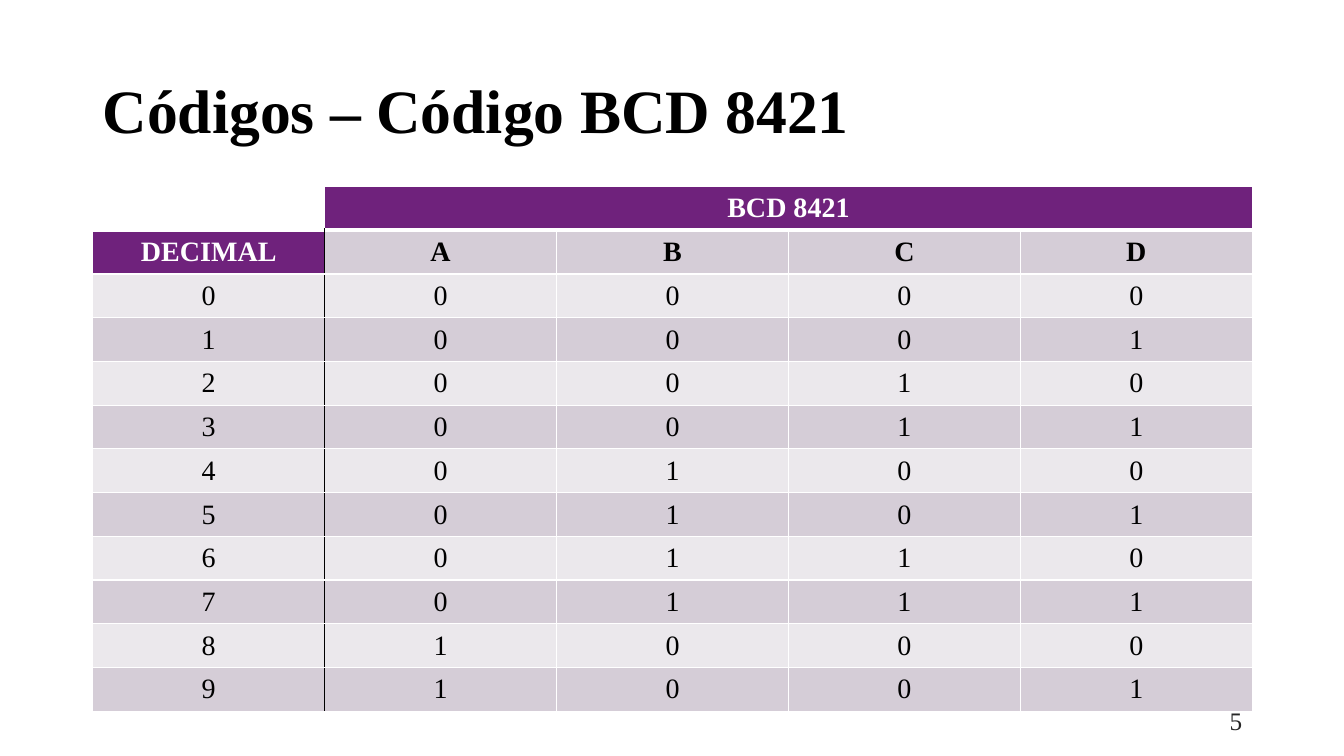
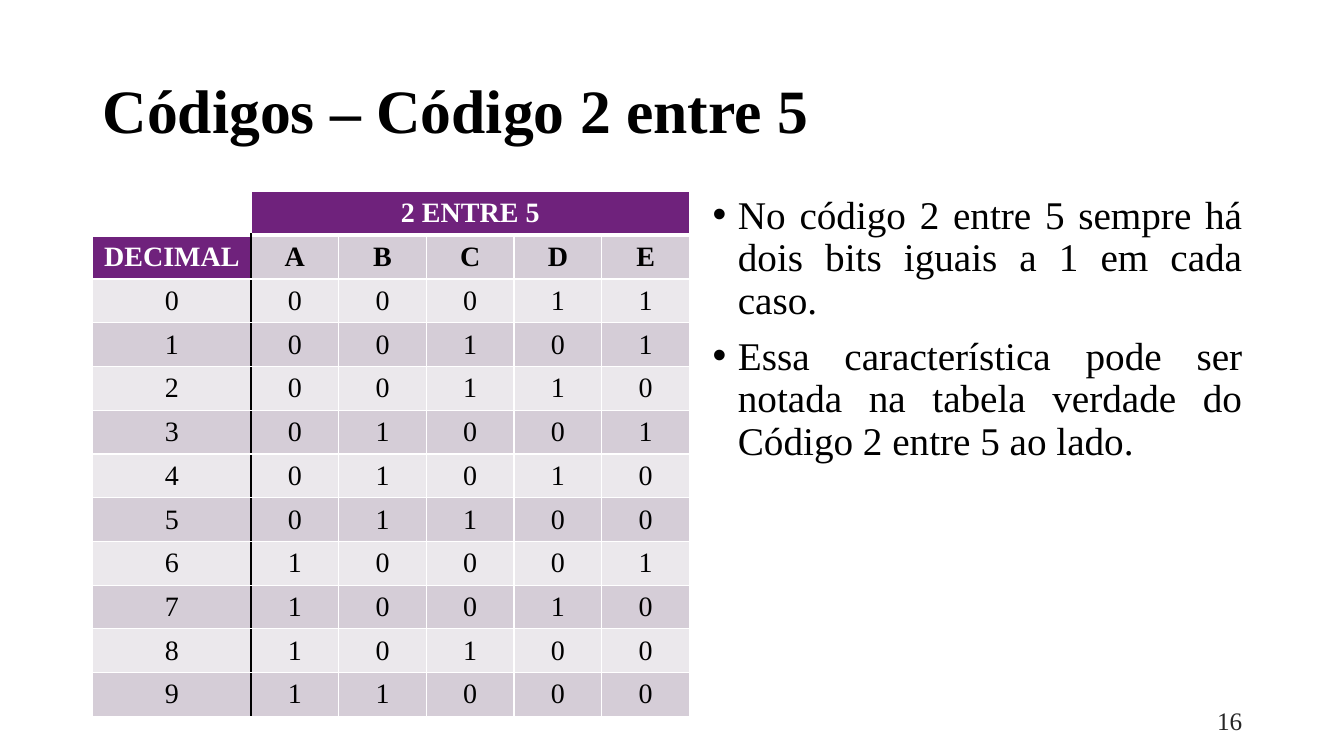
from lxml import etree
from pptx import Presentation
from pptx.dml.color import RGBColor
from pptx.enum.text import MSO_ANCHOR, PP_ALIGN
from pptx.oxml.ns import qn
from pptx.util import Inches, Pt

LEFT, CENTER, RIGHT, JUSTIFY = PP_ALIGN.LEFT, PP_ALIGN.CENTER, PP_ALIGN.RIGHT, PP_ALIGN.JUSTIFY
TOP, MIDDLE = MSO_ANCHOR.TOP, MSO_ANCHOR.MIDDLE

FONT = "Times New Roman"
BLACK, WHITE, GRAY = "000000", "FFFFFF", "262626"
PURPLE, DARK_BAND, LIGHT_BAND = "6F227C", "D5CDD7", "EBE8EC"
MARGIN = 0.92
TABLE_HEIGHT = 4.89

BCD_CODES = [f"{n:04b}" for n in range(10)]
TWO_OF_FIVE_CODES = ["00011", "00101", "00110", "01001", "01010",
                     "01100", "10001", "10010", "10100", "11000"]


def rgb(color):
    return RGBColor.from_string(color)


def write(p, text, size=20, color=BLACK, bold=False, align=LEFT, spacing=None):
    p.alignment = align
    if spacing:
        p.line_spacing = spacing
    r = p.add_run()
    r.text = text
    r.font.name = FONT
    r.font.size = Pt(size)
    r.font.bold = bold
    r.font.color.rgb = rgb(color)


def add_box(s, x, y, w, h, anchor=MIDDLE):
    tf = s.shapes.add_textbox(Inches(x), Inches(y), Inches(w), Inches(h)).text_frame
    tf.word_wrap = True
    tf.vertical_anchor = anchor
    return tf


def add_slide(prs, title, number):
    s = prs.slides.add_slide(prs.slide_layouts[6])
    write(add_box(s, MARGIN, 0.4, 11.5, 1.45).paragraphs[0], title,
          size=44, bold=True, spacing=0.9)
    write(add_box(s, 9.42, 6.95, 3, 0.4).paragraphs[0], number,
          size=18, color=GRAY, align=RIGHT)
    return s


def set_border(cell, side, color, width):
    ln = etree.SubElement(cell._tc.get_or_add_tcPr(), qn(f"a:ln{side}"), w=str(Pt(width)))
    fill = etree.SubElement(ln, qn("a:solidFill"))
    etree.SubElement(fill, qn("a:srgbClr"), val=color)


def style_cell(cell, row, col):
    divider = {0: "R", 1: "L"}.get(col) if row > 0 else None
    for side in "LRTB":
        thick = (row == 0 and side == "B") or (row == 1 and side == "T")
        set_border(cell, side, BLACK if side == divider else WHITE, 3 if thick else 1)
    if row == col == 0:
        cell.fill.background()
        return
    header = row == 0 or (row == 1 and col == 0)
    band = DARK_BAND if row % 2 else LIGHT_BAND
    cell.fill.solid()
    cell.fill.fore_color.rgb = rgb(PURPLE if header else band)
    cell.vertical_anchor = MIDDLE


def add_code_table(s, y, heading, codes, decimal_width, bit_width):
    bits = len(codes[0])
    rows = [["", heading] + [""] * (bits - 1), ["DECIMAL", *"ABCDE"[:bits]]]
    rows += [[str(n), *code] for n, code in enumerate(codes)]
    widths = [decimal_width] + [bit_width] * bits
    table = s.shapes.add_table(len(rows), len(widths), Inches(MARGIN), Inches(y),
                               Inches(sum(widths)), Inches(TABLE_HEIGHT)).table
    table.first_row = table.horz_banding = False
    for column, width in zip(table.columns, widths):
        column.width = Inches(width)
    for i, values in enumerate(rows):
        table.rows[i].height = Inches(TABLE_HEIGHT / len(rows))
        for j, value in enumerate(values):
            cell = table.cell(i, j)
            style_cell(cell, i, j)
            if value:
                header = i == 0 or (i == 1 and j == 0)
                write(cell.text_frame.paragraphs[0], value, bold=i < 2,
                      color=WHITE if header else BLACK, align=CENTER)
    table.cell(0, 1).merge(table.cell(0, bits))


def add_bullets(s, x, y, w, h, items):
    tf = add_box(s, x, y, w, h, anchor=TOP)
    for i, item in enumerate(items):
        p = tf.add_paragraph() if i else tf.paragraphs[0]
        write(p, item, size=28, align=JUSTIFY, spacing=0.9)
        p.space_before = Pt(10)
        pPr = p._p.get_or_add_pPr()
        pPr.set("marL", str(Inches(0.25)))
        pPr.set("indent", str(Inches(-0.25)))
        etree.SubElement(pPr, qn("a:buFont"), typeface="Arial")
        etree.SubElement(pPr, qn("a:buChar"), char="•")


def main():
    prs = Presentation()
    prs.slide_width, prs.slide_height = Inches(13.33), Inches(7.5)

    s = add_slide(prs, "Códigos – Código BCD 8421", "5")
    add_code_table(s, 1.85, "BCD 8421", BCD_CODES, 2.3, 2.3)

    s = add_slide(prs, "Códigos – Código 2 entre 5", "16")
    add_bullets(s, 6.97, 1.89, 5.45, 4.76, [
        "No código 2 entre 5 sempre há dois bits iguais a 1 em cada caso.",
        "Essa característica pode ser notada na tabela verdade do Código 2 entre 5 ao lado.",
    ])
    add_code_table(s, 1.9, "2 ENTRE 5", TWO_OF_FIVE_CODES, 1.57, 0.87)

    prs.save("out.pptx")


if __name__ == "__main__":
    main()
